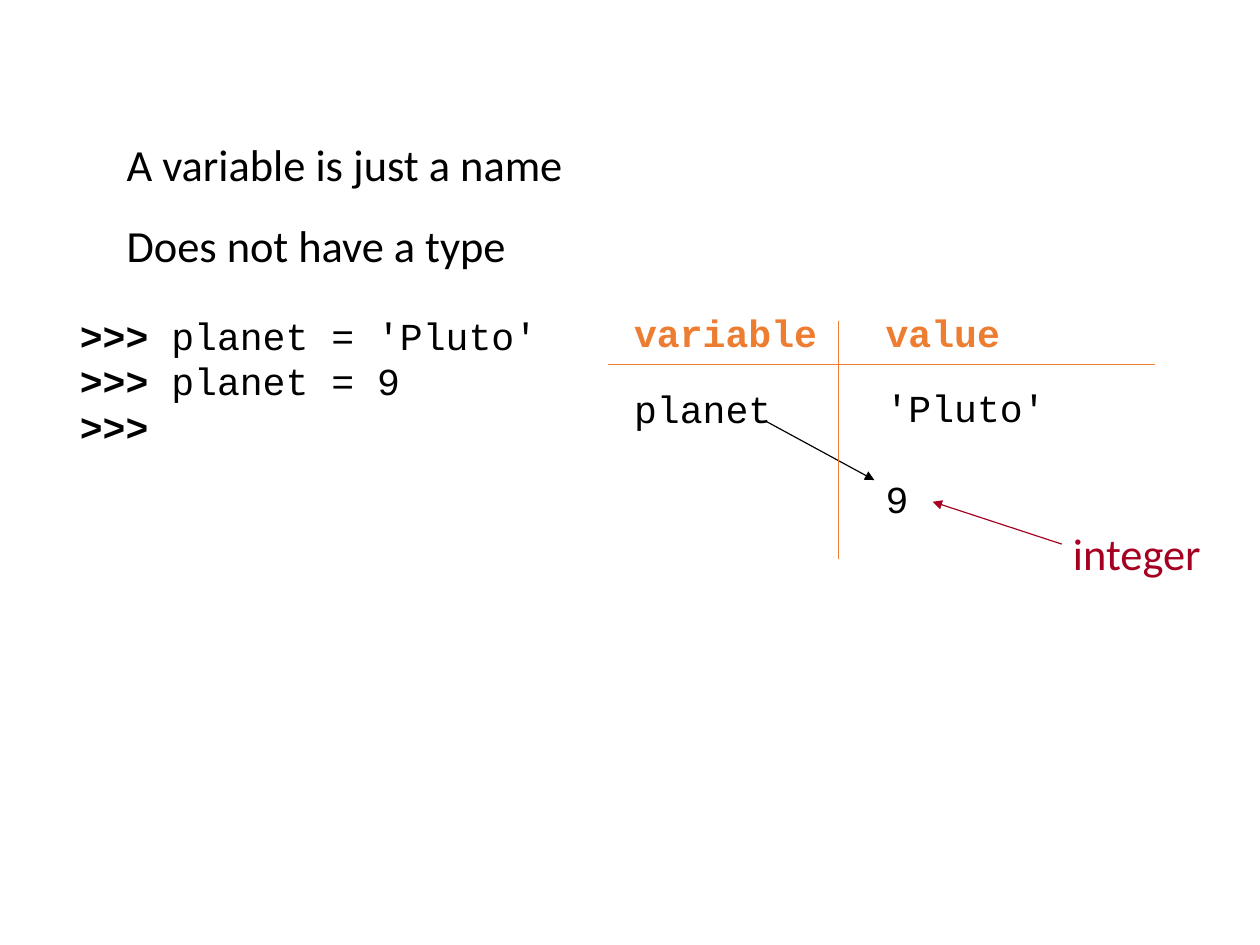
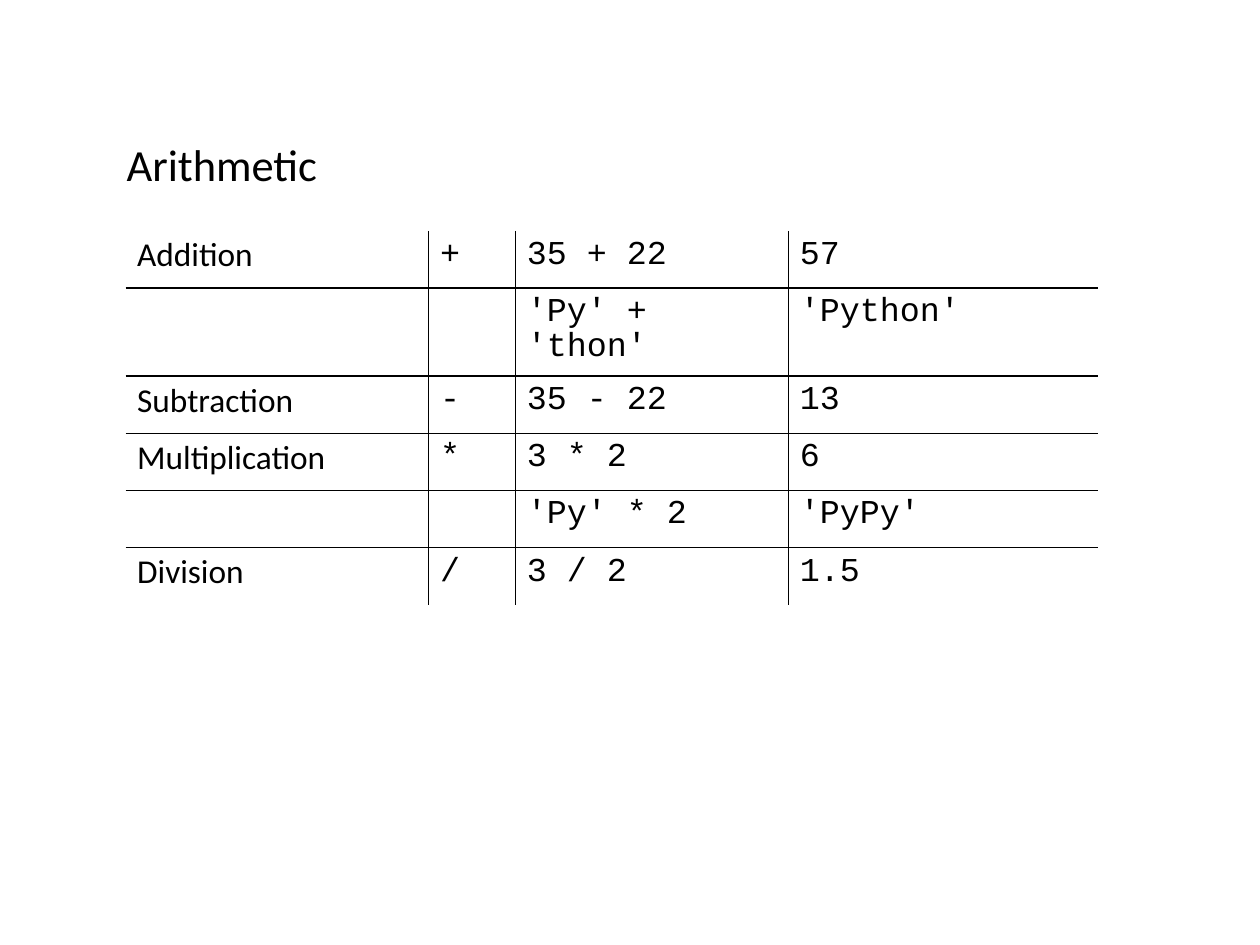
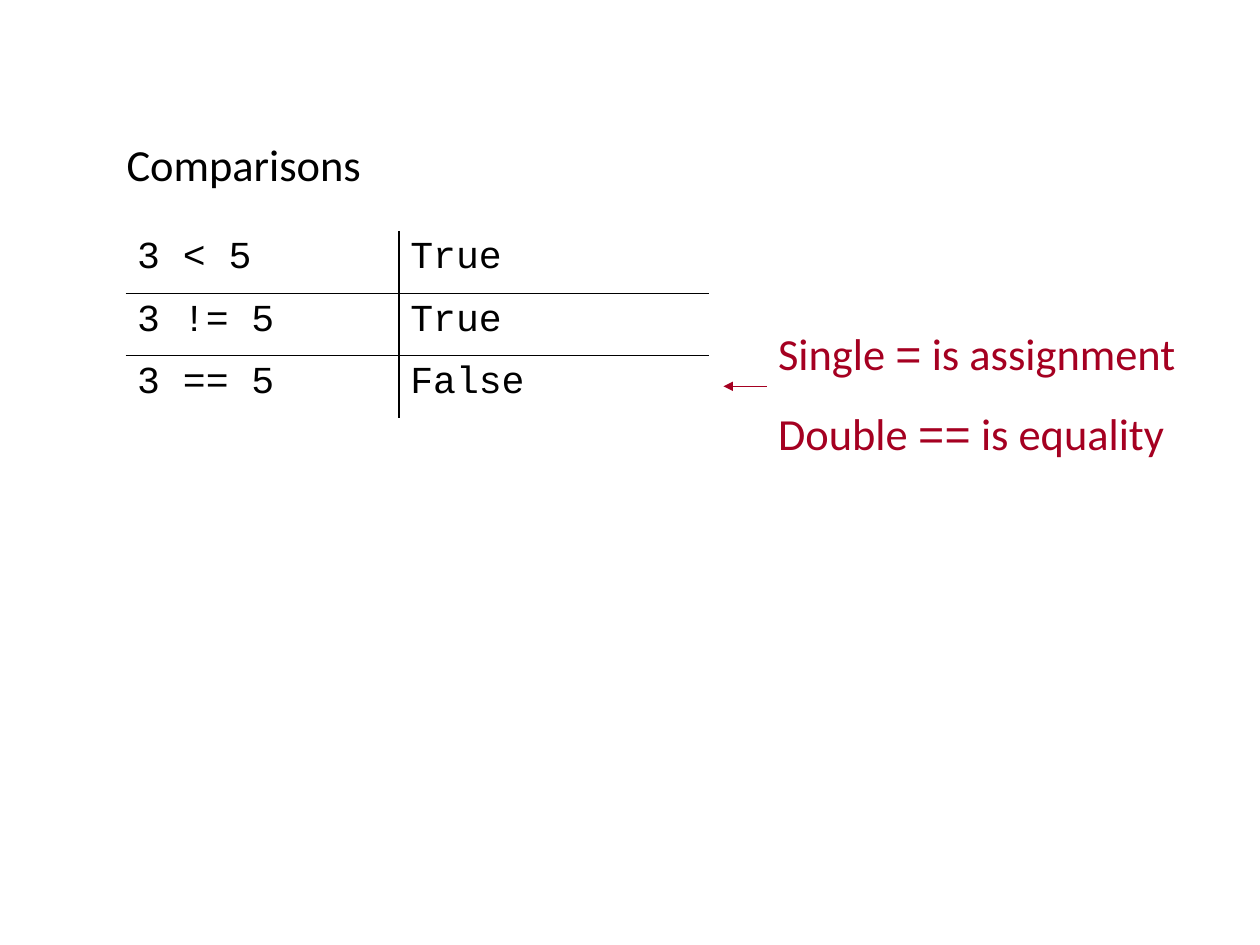
from dataclasses import dataclass

from lxml import etree
from pptx import Presentation
from pptx.dml.color import RGBColor
from pptx.enum.shapes import MSO_CONNECTOR
from pptx.enum.text import MSO_AUTO_SIZE
from pptx.oxml.ns import qn
from pptx.util import Inches, Pt

STRAIGHT = MSO_CONNECTOR.STRAIGHT
GROW = MSO_AUTO_SIZE.SHAPE_TO_FIT_TEXT
FIXED = MSO_AUTO_SIZE.NONE
BLANK_LAYOUT = 6
POINTS_PER_INCH = 72


@dataclass(frozen=True)
class Theme:
    ink: str = "000000"
    accent: str = "ED7D31"
    remark: str = "A50021"
    prose: str = "Calibri"
    code: str = "Courier New"
    prose_size: float = 28
    code_size: float = 24
    small_size: float = 21
    code_line: float = 28.6
    cell_spacing: float = 0.93
    cell_after: float = 14.2
    line_width: float = 0.75
    border_width: float = 1


THEME = Theme()


def write(frame, paragraphs, *, font, size, color=THEME.ink, bold=False,
          spacing=None, before=0, after=0):
    """Fill a text frame; a paragraph is a string or a list of (text, overrides)."""
    for index, content in enumerate(paragraphs):
        para = frame.paragraphs[0] if index == 0 else frame.add_paragraph()
        para.line_spacing = spacing
        para.space_before = Pt(before if index else 0)
        para.space_after = Pt(after)
        spans = [(content, {})] if isinstance(content, str) else content
        for text, overrides in spans:
            span = para.add_run()
            span.text = text
            span.font.name = overrides.get("font", font)
            span.font.size = Pt(size)
            span.font.bold = overrides.get("bold", bold)
            span.font.color.rgb = RGBColor.from_string(color)


def set_border(cell, side, visible):
    border = etree.SubElement(cell._tc.get_or_add_tcPr(), qn(f"a:ln{side}"))
    if visible:
        border.set("w", str(Pt(THEME.border_width)))
        fill = etree.SubElement(border, qn("a:solidFill"))
        etree.SubElement(fill, qn("a:srgbClr")).set("val", THEME.ink)
    else:
        etree.SubElement(border, qn("a:noFill"))


class Deck:
    def __init__(self, width, height):
        self.deck = Presentation()
        self.deck.slide_width = Inches(width)
        self.deck.slide_height = Inches(height)
        self.page = None

    def add_page(self):
        layout = self.deck.slide_layouts[BLANK_LAYOUT]
        self.page = self.deck.slides.add_slide(layout)

    def box(self, left, top, width, height, paragraphs, *, fit=FIXED, **style):
        box = self.page.shapes.add_textbox(*map(Inches, (left, top, width, height)))
        box.text_frame.word_wrap = False
        box.text_frame.auto_size = fit
        write(box.text_frame, paragraphs, **style)

    def prose(self, left, top, width, paragraphs, color=THEME.ink):
        height = 0.73 if len(paragraphs) == 1 else 1.51
        self.box(left, top, width, height, paragraphs, fit=GROW, spacing=1.5,
                 font=THEME.prose, size=THEME.prose_size, color=color)

    def heading(self, width, *lines):
        self.prose(1.01, 0.92, width, lines)

    def code(self, left, top, width, height, paragraphs, **style):
        self.box(left, top, width, height, paragraphs,
                 font=THEME.code, size=THEME.code_size, **style)

    def line(self, start, end, color=THEME.ink, arrow=False):
        line = self.page.shapes.add_connector(STRAIGHT, *map(Inches, (*start, *end)))
        line.line.width = Pt(THEME.line_width)
        line.line.color.rgb = RGBColor.from_string(color)
        if arrow:
            outline = line.line._get_or_add_ln()
            etree.SubElement(outline, qn("a:tailEnd")).set("type", "triangle")
        etree.SubElement(line._element.spPr, qn("a:effectLst"))

    def grid(self, columns, heights, rows, fonts, size):
        """Add a table that is ruled on its inner edges only."""
        frame = self.page.shapes.add_table(
            len(rows), len(columns), Inches(1.1), Inches(2.02),
            Inches(sum(columns)), Inches(sum(heights)))
        table = frame.table
        table.first_row = table.horz_banding = False
        for column, width in zip(table.columns, columns):
            column.width = Inches(width)
        for r, (texts, height) in enumerate(zip(rows, heights)):
            table.rows[r].height = Inches(height)
            for c, text in enumerate(texts):
                cell = table.cell(r, c)
                set_border(cell, "L", c > 0)
                set_border(cell, "R", c < len(columns) - 1)
                set_border(cell, "T", r > 0)
                set_border(cell, "B", r < len(rows) - 1)
                cell.fill.background()
                if text:
                    write(cell.text_frame, [text], font=fonts[c], size=size,
                          spacing=THEME.cell_spacing, after=THEME.cell_after)


def build_variable(deck):
    variable_left, value_left, column_width = 5.45, 7.65, 1.76
    deck.add_page()
    deck.heading(4.06, "A variable is just a name", "Does not have a type")
    prompt = (">>>", {"bold": True})
    deck.code(0.6, 2.68, 3.78, 3.21, [
        [prompt, (" planet = 'Pluto'", {})],
        [prompt, (" planet = 9", {})],
        [prompt],
    ])
    deck.code(variable_left, 3.32, column_width, 2.08, ["planet"])
    deck.code(value_left, 3.31, column_width, 2.08, ["'Pluto'", "9"],
              before=THEME.code_line)
    deck.line((6.71, 3.69), (value_left, 4.2), arrow=True)
    deck.line((5.32, 3.19), (10.11, 3.19), THEME.accent)
    deck.line((7.34, 2.81), (7.34, 4.89), THEME.accent)
    for left, label in ((variable_left, "variable"), (value_left, "value")):
        deck.code(left, 2.69, column_width, 0.5, [label], color=THEME.accent,
                  bold=True, spacing=THEME.cell_spacing)
    deck.prose(9.29, 4.32, 1.33, ["integer"], THEME.remark)
    deck.line((9.29, 4.76), (8.16, 4.39), THEME.remark, arrow=True)


def build_arithmetic(deck):
    deck.add_page()
    deck.heading(1.89, "Arithmetic")
    rows = [
        ("Addition", "+", "35 + 22", "57"),
        ("", "", "'Py' + 'thon'", "'Python'"),
        ("Subtraction", "-", "35 - 22", "13"),
        ("Multiplication", "*", "3 * 2", "6"),
        ("", "", "'Py' * 2", "'PyPy'"),
        ("Division", "/", "3 / 2", "1.5"),
    ]
    deck.grid([2.65, 0.76, 2.39, 2.71], [0.5, 0.77] + [0.5] * 4, rows,
              [THEME.prose] + [THEME.code] * 3, THEME.small_size)


def build_comparisons(deck):
    deck.add_page()
    deck.heading(2.27, "Comparisons")
    rows = [("3 < 5", "True"), ("3 != 5", "True"), ("3 == 5", "False")]
    deck.grid([2.39, 2.71], [0.55, 0.54, 0.55], rows,
              [THEME.code] * 2, THEME.code_size)
    symbol = {"font": THEME.code}
    deck.prose(6.71, 2.57, 3.77, [
        [("Single ", {}), ("=", symbol), (" is assignment", {})],
        [("Double ", {}), ("==", symbol), (" is equality", {})],
    ], THEME.remark)
    deck.line((6.71, 3.38), (6.33, 3.38), THEME.remark, arrow=True)


def main():
    deck = Deck(793.75 / POINTS_PER_INCH, 595.25 / POINTS_PER_INCH)
    build_variable(deck)
    build_arithmetic(deck)
    build_comparisons(deck)
    deck.deck.save("out.pptx")


if __name__ == "__main__":
    main()
